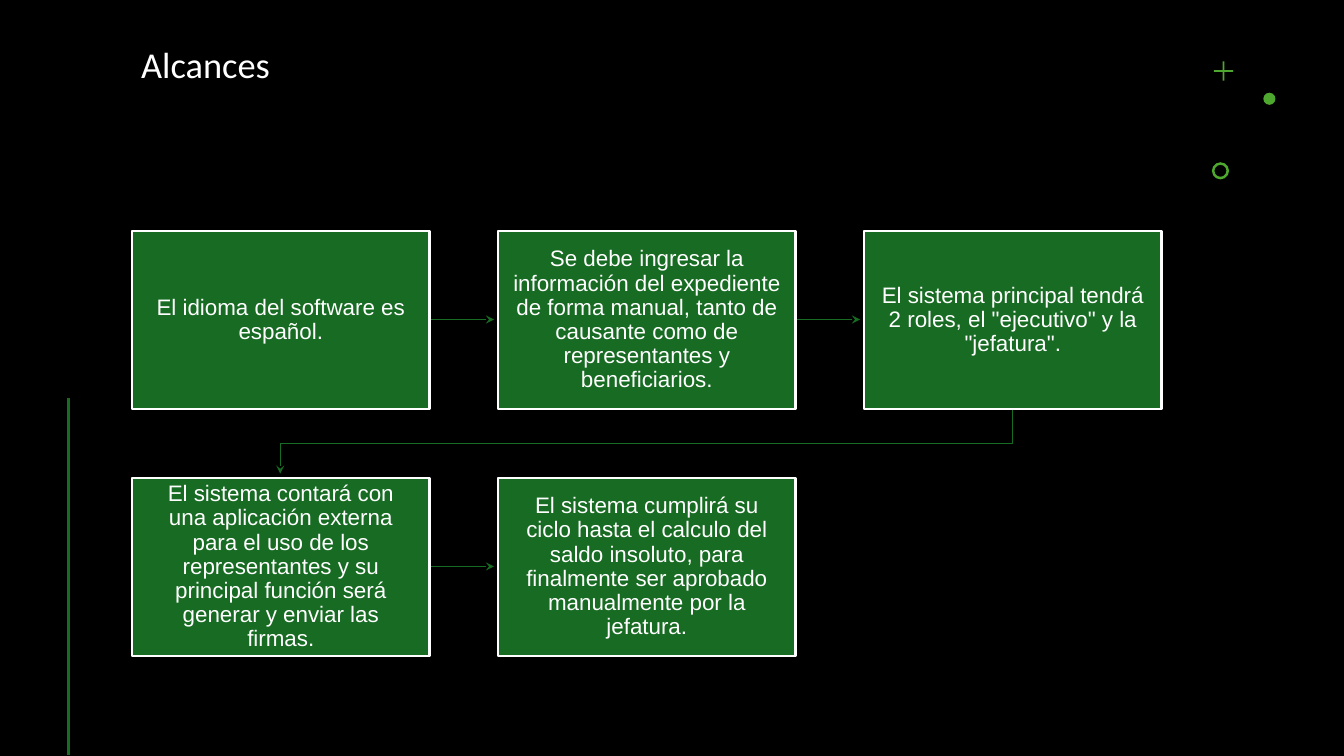
from dataclasses import dataclass

from lxml.etree import SubElement
from pptx import Presentation
from pptx.dml.color import RGBColor
from pptx.enum.shapes import MSO_CONNECTOR, MSO_SHAPE
from pptx.enum.text import MSO_ANCHOR, MSO_AUTO_SIZE, PP_ALIGN
from pptx.oxml.ns import qn
from pptx.util import Pt

EMU_PER_PX = 9144


@dataclass(frozen=True)
class Theme:
    background: RGBColor = RGBColor(0x00, 0x00, 0x00)
    text: RGBColor = RGBColor(0xFF, 0xFF, 0xFF)
    step: RGBColor = RGBColor(0x17, 0x6B, 0x22)
    rule: RGBColor = RGBColor(0x19, 0x6B, 0x24)
    accent: RGBColor = RGBColor(0x4E, 0xA7, 0x2E)
    title_font: str = "Calibri"
    body_font: str = "Arial"
    title_size: Pt = Pt(26)
    body_size: Pt = Pt(16)


@dataclass(frozen=True)
class Box:
    left: int
    top: int
    width: int
    height: int

    @property
    def emu(self):
        return [px(side) for side in (self.left, self.top, self.width, self.height)]


THEME = Theme()
COLUMNS = 3
STEP_WIDTH, STEP_HEIGHT = 295, 177
GAP = 68
ARROW_CLEARANCE = 4
STEPS = [
    "El idioma del software es español.",
    "Se debe ingresar la información del expediente de forma manual, "
    "tanto de causante como de representantes y beneficiarios.",
    'El sistema principal tendrá 2 roles, el "ejecutivo" y la "jefatura".',
    "El sistema contará con una aplicación externa para el uso de los "
    "representantes y su principal función será generar y enviar las firmas.",
    "El sistema cumplirá su ciclo hasta el calculo del saldo insoluto, "
    "para finalmente ser aprobado manualmente por la jefatura.",
]


def px(length):
    return length * EMU_PER_PX


def format_text(frame, font_name, size, alignment):
    para = frame.paragraphs[0]
    para.alignment = alignment
    para.line_spacing = 0.9
    for span in para.runs:
        span.font.name = font_name
        span.font.size = size
        span.font.color.rgb = THEME.text


def add_title(page, box, text):
    title = page.shapes.title
    title.left, title.top, title.width, title.height = box.emu
    frame = title.text_frame
    frame.text = text
    frame.auto_size = MSO_AUTO_SIZE.NONE
    frame.vertical_anchor = MSO_ANCHOR.TOP
    format_text(frame, THEME.title_font, THEME.title_size, PP_ALIGN.LEFT)


def add_ornaments(page, box):
    marks = [
        (MSO_SHAPE.CROSS, 2, 0, 19, 0.45),
        (MSO_SHAPE.OVAL, 51, 31, 12, None),
        (MSO_SHAPE.DONUT, 0, 100, 17, 0.15),
    ]
    for kind, left, top, size, adjustment in marks:
        place = Box(box.left + left, box.top + top, size, size)
        mark = page.shapes.add_shape(kind, *place.emu)
        if adjustment is not None:
            mark.adjustments[0] = adjustment
        mark.shadow.inherit = False
        mark.fill.solid()
        mark.fill.fore_color.rgb = THEME.accent
        mark.line.fill.background()


def add_line(page, start, end, color, width):
    line = page.shapes.add_connector(
        MSO_CONNECTOR.STRAIGHT, *[px(value) for value in (*start, *end)]
    )
    line.line.color.rgb = color
    line.line.width = width
    SubElement(line._element.spPr, qn("a:effectLst"))
    return line


def add_arrowhead(line):
    outline = line.line._get_or_add_ln()
    SubElement(outline, qn("a:tailEnd"), type="stealth")


def add_turn(page, points):
    builder = page.shapes.build_freeform(*points[0], scale=EMU_PER_PX)
    builder.add_line_segments(points[1:], close=False)
    turn = builder.convert_to_shape()
    turn.shadow.inherit = False
    turn.fill.background()
    turn.line.color.rgb = THEME.step
    turn.line.width = Pt(1)
    add_arrowhead(turn)


def add_step(page, box, text):
    step = page.shapes.add_shape(MSO_SHAPE.RECTANGLE, *box.emu)
    step.shadow.inherit = False
    step.fill.solid()
    step.fill.fore_color.rgb = THEME.step
    step.line.color.rgb = THEME.text
    step.line.width = Pt(1.5)
    frame = step.text_frame
    frame.text = text
    frame.word_wrap = True
    frame.vertical_anchor = MSO_ANCHOR.MIDDLE
    frame.margin_left = frame.margin_right = px(14)
    frame.margin_top = frame.margin_bottom = px(15)
    format_text(frame, THEME.body_font, THEME.body_size, PP_ALIGN.CENTER)


def add_arrow(page, source, target):
    source_right = source.left + source.width
    source_bottom = source.top + source.height
    if source.top == target.top:
        middle = source.top + source.height // 2
        end = (target.left - ARROW_CLEARANCE, middle)
        add_arrowhead(add_line(page, (source_right, middle), end, THEME.step, Pt(1)))
        return
    source_center = source.left + source.width // 2
    target_center = target.left + target.width // 2
    halfway = (source_bottom + target.top) // 2
    add_turn(page, [
        (source_center, source_bottom),
        (source_center, halfway),
        (target_center, halfway),
        (target_center, target.top - ARROW_CLEARANCE),
    ])


def add_process(page, box, steps):
    places = []
    for index in range(len(steps)):
        row, column = divmod(index, COLUMNS)
        left = box.left + column * (STEP_WIDTH + GAP)
        top = box.top + row * (STEP_HEIGHT + GAP)
        places.append(Box(left, top, STEP_WIDTH, STEP_HEIGHT))
    for source, target in zip(places, places[1:]):
        add_arrow(page, source, target)
    for place, text in zip(places, steps):
        add_step(page, place, text)


def main():
    deck = Presentation()
    deck.slide_width, deck.slide_height = px(1333), px(750)
    page = deck.slides.add_slide(deck.slide_layouts.get_by_name("Title Only"))
    page.background.fill.solid()
    page.background.fill.fore_color.rgb = THEME.background
    add_title(page, Box(130, 42, 1023, 131), "Alcances")
    add_ornaments(page, Box(1202, 61, 63, 117))
    add_line(page, (68, 395), (68, 749), THEME.rule, Pt(2))
    add_process(page, Box(131, 229, 1021, 422), STEPS)
    deck.save("out.pptx")


if __name__ == "__main__":
    main()
